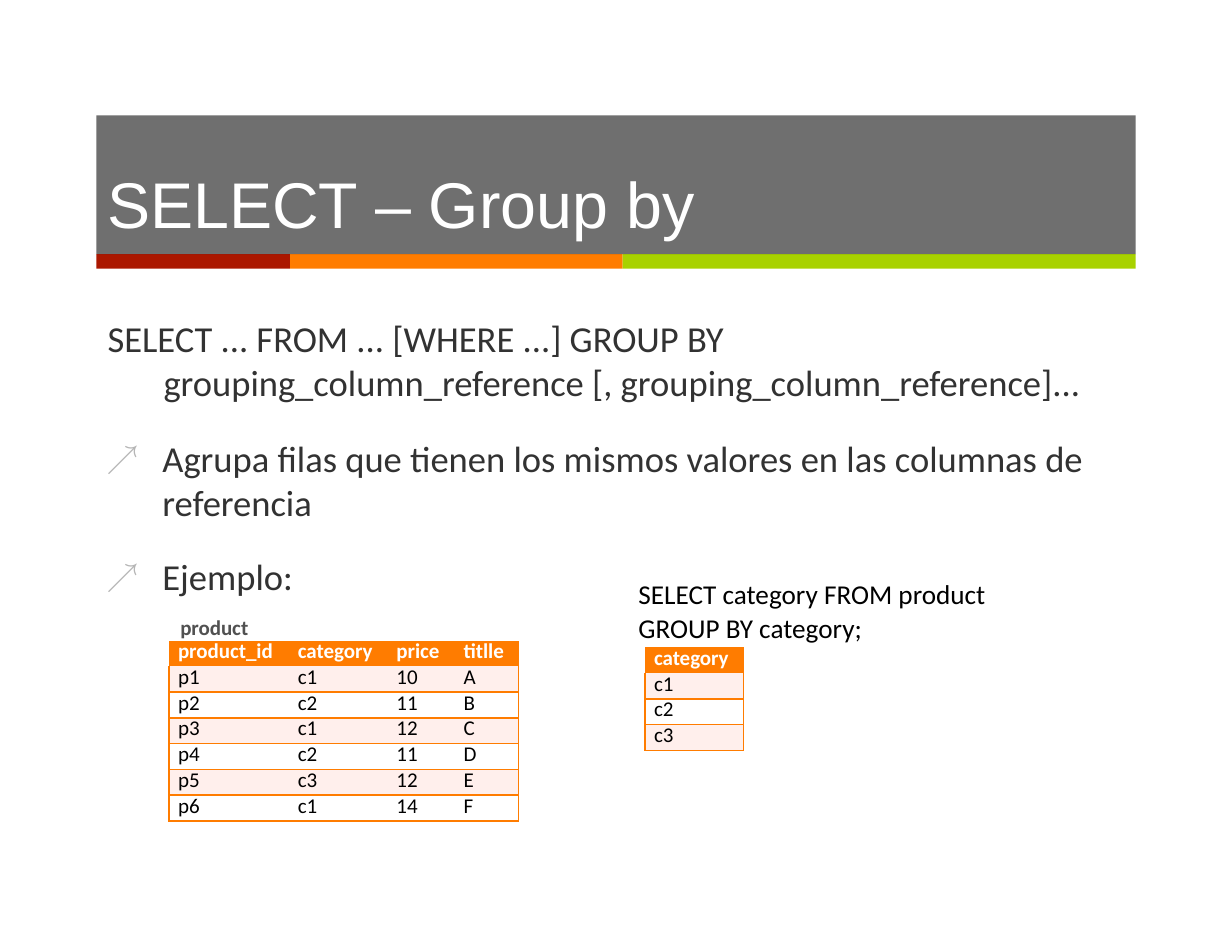
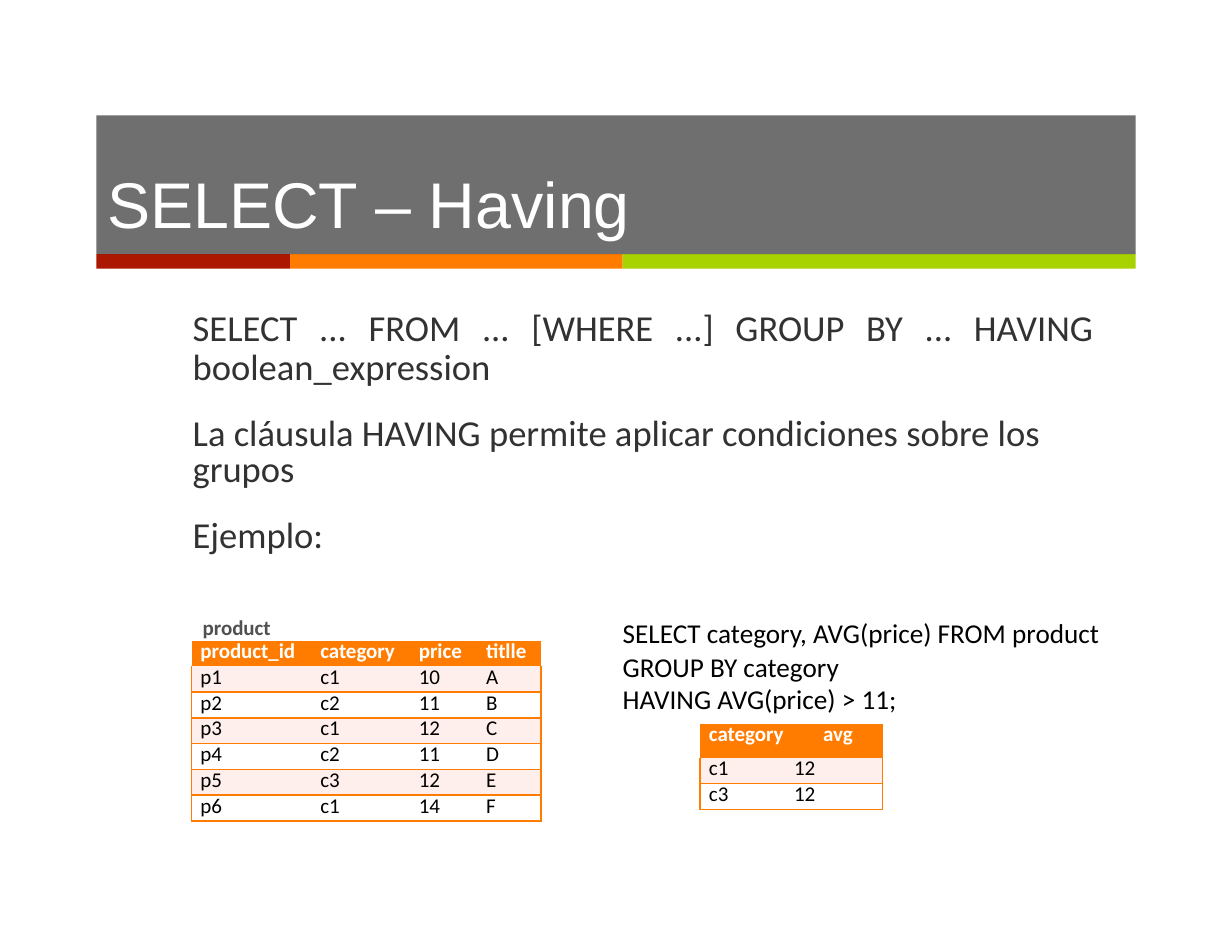
from lxml import etree
from pptx import Presentation
from pptx.dml.color import RGBColor
from pptx.enum.shapes import MSO_SHAPE
from pptx.enum.text import MSO_ANCHOR, MSO_AUTO_SIZE, PP_ALIGN
from pptx.oxml.ns import qn
from pptx.util import Inches, Pt

RECT = MSO_SHAPE.RECTANGLE
TOP = MSO_ANCHOR.TOP
NO_FIT = MSO_AUTO_SIZE.NONE
LEFT, JUSTIFY = PP_ALIGN.LEFT, PP_ALIGN.JUSTIFY
NO_STYLE = "{2D5ABB26-0587-4C30-8999-92F81FD0307C}"

DARK, GRAY, LABEL = "323232", "B5B5B5", "515151"
RED, ORANGE, GREEN = "AB1700", "FF7C00", "A8D200"
PINK, WHITE, BLACK = "FFEFEC", "FFFFFF", "000000"


def rgb(value):
    return RGBColor.from_string(value)


def write(tf, lines, font, color, inset=0.02):
    for name, value in {"word_wrap": True, "auto_size": NO_FIT, "vertical_anchor": TOP,
                        "margin_left": 0, "margin_right": 0, "margin_bottom": 0,
                        "margin_top": Inches(inset)}.items():
        setattr(tf, name, value)
    for i, (text, left, bullet, fmt) in enumerate(lines):
        p = tf.paragraphs[0] if i == 0 else tf.add_paragraph()
        for name, value in {"alignment": LEFT, "space_before": Pt(0), **fmt}.items():
            setattr(p, name, value)
        pPr = p._p.get_or_add_pPr()
        pPr.set("marL", str(Inches(left)))
        pPr.set("indent", str(Inches(-0.5 if bullet else 0)))
        if bullet:
            clr = etree.SubElement(pPr, qn("a:buClr"))
            etree.SubElement(clr, qn("a:srgbClr"), val=GRAY)
            etree.SubElement(pPr, qn("a:buSzPct"), val="89000")
            etree.SubElement(pPr, qn("a:buFont"), typeface="Arial")
            etree.SubElement(pPr, qn("a:buChar"), char="↗")
        else:
            etree.SubElement(pPr, qn("a:buNone"))
        r = p.add_run()
        r.text = text
        for name, value in font.items():
            setattr(r.font, name, value)
        r.font.color.rgb = rgb(color)


TITLE = {"name": "Arial", "size": Pt(41.5)}
BODY = {"name": "Calibri", "size": Pt(23.5)}
SQL = {"name": "Calibri", "size": Pt(17.5)}
SMALL = {"name": "Calibri", "size": Pt(13.5)}
BOLD = {**SMALL, "bold": True}
SQL_LINE = {"line_spacing": 1.04}

product = {
    "cols": [1.05, 0.88, 0.6, 0.59],
    "insets": [0.08, 0.1, 0.1, 0.1],
    "rows": [["product_id", "category", "price", "titlle"],
             ["p1", "c1", "10", "A"], ["p2", "c2", "11", "B"],
             ["p3", "c1", "12", "C"], ["p4", "c2", "11", "D"],
             ["p5", "c3", "12", "E"], ["p6", "c1", "14", "F"]],
}
categories = {
    "at": (5.76, 5.78), "cols": [0.88], "insets": [0.08],
    "rows": [["category"], ["c1"], ["c2"], ["c3"]],
}
averages = {
    "at": (6.25, 6.46), "cols": [0.8, 0.27, 0.56], "insets": [0.08, 0.04, 0.03],
    "rows": [["category", "", "avg"], ["c1", "12", None], ["c3", "12", None]],
}

slides = [
    {
        "title": "SELECT – Group by",
        "body_at": (0.95, 2.8, 8.82, 1.88),
        "body": [
            ("SELECT ... FROM ... [WHERE ...] GROUP BY", 0.01, False, {}),
            ("grouping_column_reference [, grouping_column_reference]...", 0.51, False, {}),
            ("Agrupa filas que tienen los mismos valores en las columnas de referencia",
             0.5, True, {"line_spacing": Pt(27.7), "space_before": Pt(21.6)}),
        ],
        "texts": [
            ((0.95, 4.93, 1.75, 0.42), [("Ejemplo:", 0.5, True, {})], BODY, DARK),
            ((5.69, 5.12, 3.18, 0.63),
             [("SELECT category FROM product GROUP BY category;", 0.01, False, SQL_LINE)],
             SQL, BLACK),
        ],
        "product_x": 1.51,
        "result": categories,
    },
    {
        "title": "SELECT – Having",
        "body_at": (1.7, 2.74, 8.07, 2.24),
        "body": [
            ("SELECT ... FROM ... [WHERE ...] GROUP BY ... HAVING boolean_expression",
             0.02, False, {"alignment": JUSTIFY, "line_spacing": Pt(25.4)}),
            ("La cláusula HAVING permite aplicar condiciones sobre los grupos",
             0.02, False, {"line_spacing": Pt(22.7), "space_before": Pt(19.7)}),
            ("Ejemplo:", 0.02, False, {"space_before": Pt(14.6)}),
        ],
        "texts": [
            ((5.55, 5.47, 4.36, 0.92),
             [("SELECT category, AVG(price) FROM product GROUP BY category",
               0.01, False, SQL_LINE),
              ("HAVING AVG(price) > 11;", 0.01, False, {"line_spacing": Pt(20.8)})],
             SQL, BLACK),
        ],
        "product_x": 1.71,
        "result": averages,
    },
]

prs = Presentation()
prs.slide_width, prs.slide_height = Inches(11), Inches(8.5)
layout = prs.slide_layouts[1]

for number, data in enumerate(slides):
    s = prs.slides.add_slide(layout)

    if number == 0:
        x = 0.86
        for width, color in [(1.73, RED), (2.97, ORANGE), (4.58, GREEN)]:
            sp = s.shapes.add_shape(RECT, Inches(x), Inches(2.27), Inches(width), Inches(0.13))
            sp.shadow.inherit = False
            sp.fill.solid()
            sp.fill.fore_color.rgb = rgb(color)
            sp.line.fill.background()
            layout.shapes.element.append(sp.element)
            x += width

    title, body = s.shapes.title, s.placeholders[1]
    for sp, box in [(title, (0.86, 1.03, 9.28, 1.24)), (body, data["body_at"])]:
        sp.left, sp.top, sp.width, sp.height = [Inches(v) for v in box]
    title.fill.solid()
    title.fill.fore_color.rgb = rgb(DARK)
    etree.SubElement(next(title.element.iter(qn("a:srgbClr"))), qn("a:alpha"), val="70000")
    write(title.text_frame, [(data["title"], 0.1, False, {})], TITLE, WHITE, 0.43)
    write(body.text_frame, data["body"], BODY, DARK)

    product_x = data["product_x"]
    label = ((product_x + 0.09, 5.47, 0.7, 0.26), [("product", 0.01, False, {})], BOLD, LABEL)
    for box, lines, font, color in data["texts"] + [label]:
        sp = s.shapes.add_textbox(*[Inches(v) for v in box])
        write(sp.text_frame, lines, font, color)

    for spec_table in [{**product, "at": (product_x, 5.72)}, data["result"]]:
        cols, rows = spec_table["cols"], spec_table["rows"]
        left, top = spec_table["at"]
        frame = s.shapes.add_table(len(rows), len(cols), Inches(left), Inches(top),
                                   Inches(sum(cols)), Inches(0.23 * len(rows)))
        next(frame.element.iter(qn("a:tableStyleId"))).text = NO_STYLE
        table = frame.table
        table.horz_banding = False
        for column, width in zip(table.columns, cols):
            column.width = Inches(width)
        for i, row in enumerate(rows):
            table.rows[i].height = Inches(0.23)
            for j, text in enumerate(row):
                cell = table.cell(i, j)
                last = j == len(row) - 1 or row[j + 1] is None
                edges = {"a:lnL": j == 0, "a:lnR": last, "a:lnT": i > 1, "a:lnB": True}
                for tag, shown in edges.items():
                    if i and shown:
                        ln = etree.SubElement(cell._tc.get_or_add_tcPr(), qn(tag), w=str(Pt(1)))
                        fill = etree.SubElement(ln, qn("a:solidFill"))
                        etree.SubElement(fill, qn("a:srgbClr"), val=ORANGE)
                if i % 2 or i == 0:
                    cell.fill.solid()
                    cell.fill.fore_color.rgb = rgb(PINK if i else ORANGE)
                else:
                    cell.fill.background()
                cell.margin_left = Inches(spec_table["insets"][j])
                cell.margin_right = cell.margin_top = cell.margin_bottom = 0
                p = cell.text_frame.paragraphs[0]
                p.line_spacing = Pt(15.2)
                if text:
                    r = p.add_run()
                    r.text = text
                    for name, value in (SMALL if i else BOLD).items():
                        setattr(r.font, name, value)
                    r.font.color.rgb = rgb(BLACK if i else WHITE)
                if text is None:
                    table.cell(i, j - 1).merge(cell)

prs.save("out.pptx")
